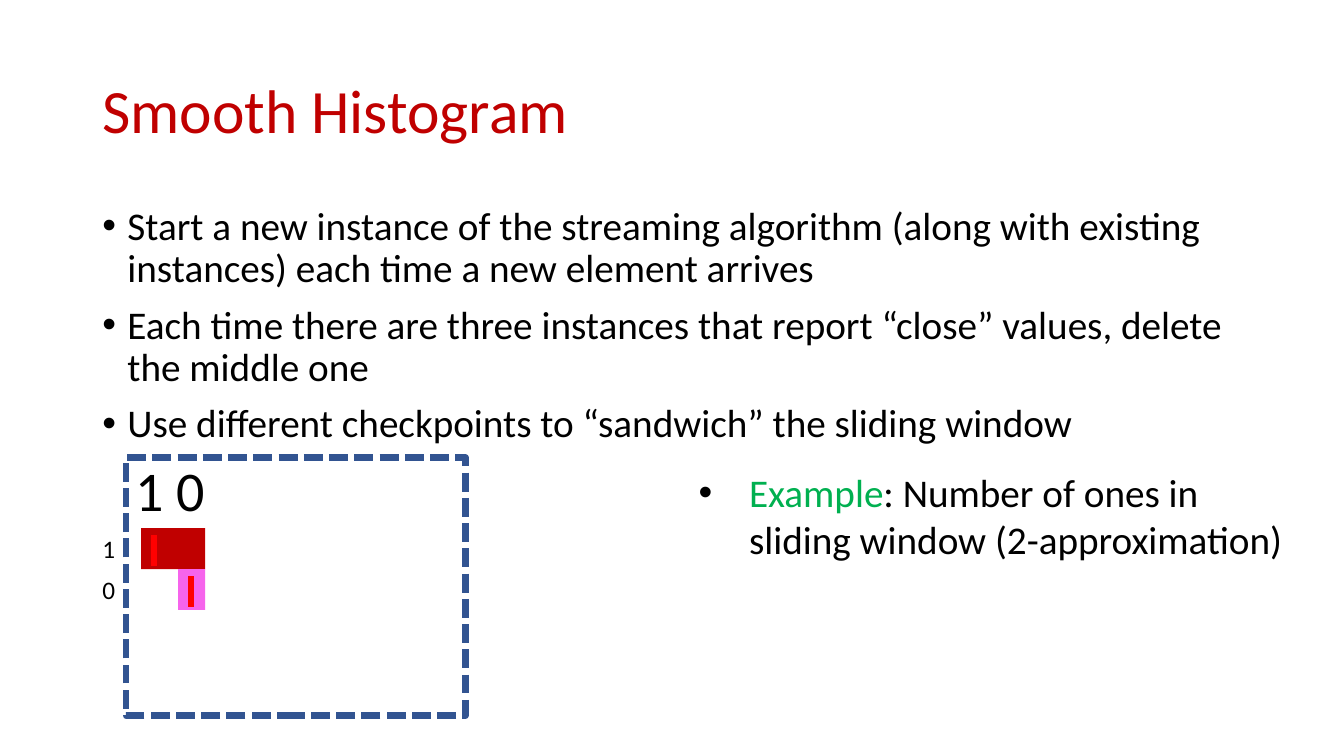
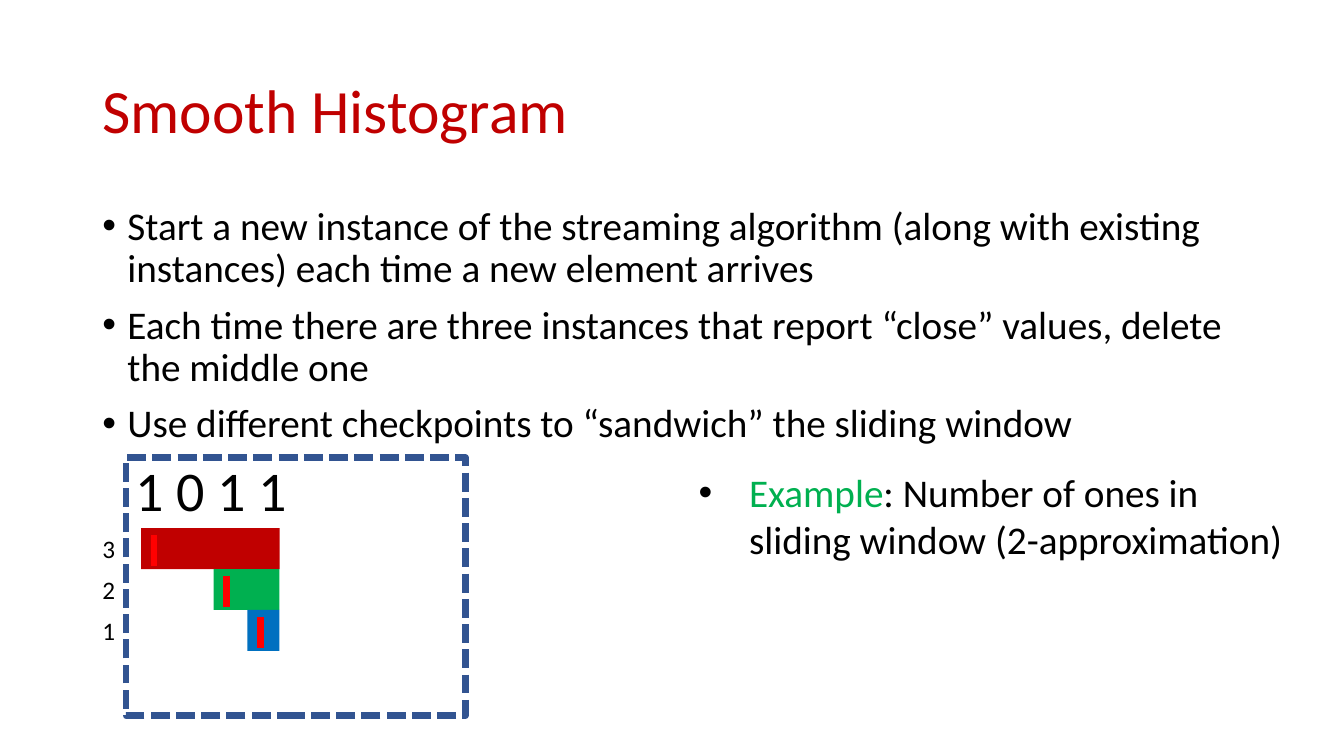
from lxml.etree import SubElement
from pptx import Presentation
from pptx.dml.color import RGBColor
from pptx.enum.dml import MSO_LINE
from pptx.enum.shapes import MSO_CONNECTOR, MSO_SHAPE
from pptx.enum.text import MSO_ANCHOR
from pptx.oxml.ns import qn
from pptx.util import Pt

FONT = "Calibri"
BLACK, RED, GREEN, BLUE, PINK = "000000", "C00000", "00B050", "0070C0", "F664EC"
FRAME_BLUE, TICK_RED = "325491", "FF0000"

TITLE = "Smooth Histogram"
POINTS = [
    "Start a new instance of the streaming algorithm (along with existing instances) "
    "each time a new element arrives",
    "Each time there are three instances that report “close” values, delete the middle one",
    "Use different checkpoints to “sandwich” the sliding window",
]
EXAMPLE = [("Example", GREEN), (": Number of ones in sliding window (2-approximation)", BLACK)]

MARGIN = 66
WINDOW_LEFT = 90
ROWS_TOP, ROW_HEIGHT = 377.3, 29.2
TICK_INSET, TICK_GAP, TICK_LENGTH = 9.2, 5, 22

# Each stream: its digits, width of their box, right end of the bars,
# and the running instances as (value, left end, colour).
STREAMS = [
    ("1 0", 64.8, 146.5, [("1", 100.8, RED), ("0", 127.3, PINK)]),
    ("1 0 1 1", 123.8, 199.7,
     [("3", 100.8, RED), ("2", 152.6, GREEN), ("1", 176.8, BLUE)]),
]


def colour(value):
    return RGBColor.from_string(value)


def add_bullet(para, indent):
    properties = para._p.get_or_add_pPr()
    properties.set("marL", str(Pt(indent)))
    properties.set("indent", str(-Pt(indent)))
    bullet_colour = SubElement(properties, qn("a:buClr"))
    SubElement(bullet_colour, qn("a:srgbClr"), val=BLACK)
    SubElement(properties, qn("a:buFont"), typeface="Arial")
    SubElement(properties, qn("a:buChar"), char="•")


def add_text(page, place, paragraphs, size, indent=0, wrap=True,
             anchor=MSO_ANCHOR.TOP, **spacing):
    """Write paragraphs, each a list of (text, colour) spans."""
    frame = page.shapes.add_textbox(*map(Pt, place)).text_frame
    frame.word_wrap = wrap
    frame.vertical_anchor = anchor
    for index, spans in enumerate(paragraphs):
        para = frame.add_paragraph() if index else frame.paragraphs[0]
        if indent:
            add_bullet(para, indent)
        for name, value in spacing.items():
            if index or name != "space_before":
                setattr(para, name, value)
        for text, ink in spans:
            span = para.add_run()
            span.text = text
            for name, value in {"name": FONT, "size": Pt(size)}.items():
                setattr(span.font, name, value)
            span.font.color.rgb = colour(ink)


def add_box(page, place, fill=None, line=None):
    box = page.shapes.add_shape(MSO_SHAPE.RECTANGLE, *map(Pt, place))
    box.shadow.inherit = False
    if fill:
        box.fill.solid()
        box.fill.fore_color.rgb = colour(fill)
    else:
        box.fill.background()
    if line:
        box.line.color.rgb = colour(line)
        box.line.width = Pt(4.5)
        box.line.dash_style = MSO_LINE.SQUARE_DOT
    else:
        box.line.fill.background()


def add_tick(page, x, top):
    tick = page.shapes.add_connector(
        MSO_CONNECTOR.STRAIGHT, Pt(x), Pt(top), Pt(x), Pt(top + TICK_LENGTH))
    tick.line.color.rgb = colour(TICK_RED)
    tick.line.width = Pt(4.5)
    SubElement(tick._element.spPr, qn("a:effectLst"))


def add_instance(page, row, value, left, right, fill):
    """One instance: its value, its bar and the tick at its start."""
    top = ROWS_TOP + row * ROW_HEIGHT
    add_box(page, (left, top, right - left, ROW_HEIGHT), fill=fill)
    add_tick(page, left + TICK_INSET, top + TICK_GAP)
    add_text(page, (MARGIN, top, 23.8, ROW_HEIGHT), [[(value, BLACK)]], 18, wrap=False)


def add_explanation(page):
    add_text(page, (MARGIN, 28.75, 828, 104.4), [[(TITLE, RED)]], 44,
             anchor=MSO_ANCHOR.MIDDLE, line_spacing=0.9)
    add_text(page, (MARGIN, 144, 828, 206), [[(point, BLACK)] for point in POINTS], 28,
             indent=18, line_spacing=0.9, space_before=Pt(10))
    add_text(page, (492, 331.2, 443.5, 75), [EXAMPLE], 28, indent=36)


def add_stream(page, digits, width, right, instances):
    add_text(page, (WINDOW_LEFT, 321.8, width, 55.5), [[(digits, BLACK)]], 40, wrap=False)
    for row, (value, left, fill) in enumerate(instances):
        add_instance(page, row, value, left, right, fill)
    add_box(page, (WINDOW_LEFT, 326.9, 242.6, 184.3), line=FRAME_BLUE)


def main():
    deck = Presentation()
    deck.slide_width, deck.slide_height = Pt(960), Pt(540)
    for stream in STREAMS:
        page = deck.slides.add_slide(deck.slide_layouts[6])
        add_explanation(page)
        add_stream(page, *stream)
    deck.save("out.pptx")


if __name__ == "__main__":
    main()
